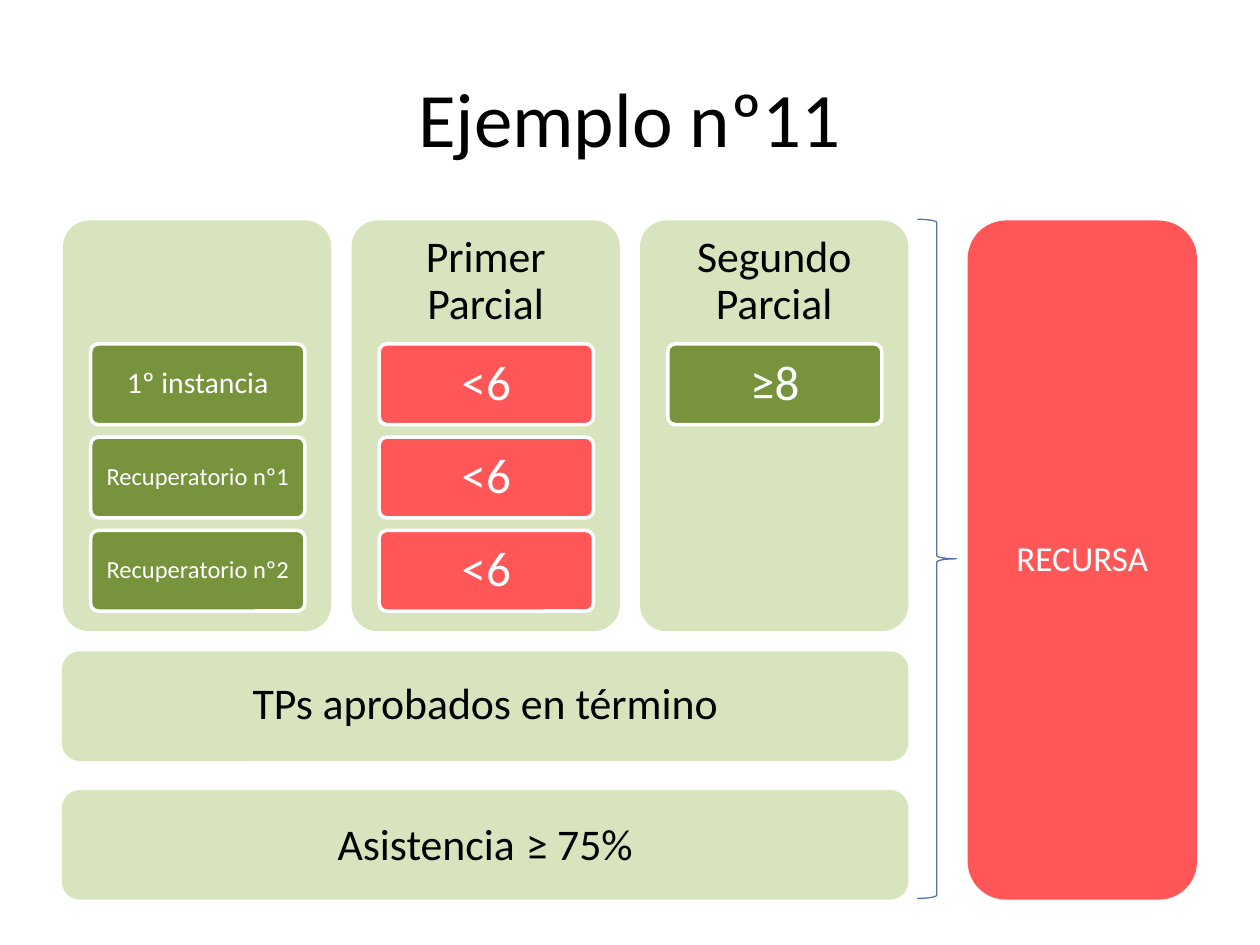
from dataclasses import dataclass

from pptx import Presentation
from pptx.dml.color import RGBColor
from pptx.enum.shapes import MSO_SHAPE
from pptx.enum.text import MSO_ANCHOR, PP_ALIGN
from pptx.util import Inches, Pt


@dataclass(frozen=True)
class Theme:
    font: str = "Calibri"
    black: str = "000000"
    white: str = "FFFFFF"
    panel: str = "D7E4BD"
    passed: str = "77933C"
    failed: str = "FF5757"
    brace: str = "5572AB"
    title_size: int = 44
    heading_size: int = 25
    score_size: int = 28
    result_size: int = 20
    stage_size: int = 17
    retake_size: int = 14


@dataclass(frozen=True)
class Area:
    left: float
    top: float
    width: float
    height: float


@dataclass(frozen=True)
class Span:
    text: str
    size: int


@dataclass(frozen=True)
class Cell:
    label: Span
    fill: str


@dataclass(frozen=True)
class Column:
    heading: str
    cells: tuple[Cell, ...]


THEME = Theme()
PAGE = Area(0, 0, 10, 7.5)
TITLE = Area(0.5, 0.3, 9, 1.25)
PANEL = Area(0.5, 1.75, 2.13, 3.26)
CELL = Area(0.72, 2.73, 1.7, 0.64)
BAR = Area(0.49, 5.17, 6.72, 0.87)
RESULT = Area(7.68, 1.75, 1.82, 5.39)
BRACE = Area(7.28, 1.74, 0.31, 5.39)
COLUMN_PITCH = 2.29
ROW_PITCH = 0.74
BAR_PITCH = 1.1
PANEL_RADIUS = 0.21
CELL_RADIUS = 0.06
PANEL_INSETS = (0.04, 0.04, 0.04, 2.33)
CELL_INSETS = (0.05, 0.03, 0.05, 0.03)
BAR_INSETS = (0, 0.1, 0, 0.11)
NO_INSETS = (0, 0, 0, 0)

FAILED_SCORE = Cell(Span("<6", THEME.score_size), THEME.failed)
COLUMNS = (
    Column("", (
        Cell(Span("1º instancia", THEME.stage_size), THEME.passed),
        Cell(Span("Recuperatorio nº1", THEME.retake_size), THEME.passed),
        Cell(Span("Recuperatorio nº2", THEME.retake_size), THEME.passed),
    )),
    Column("Primer Parcial", (FAILED_SCORE,) * 3),
    Column("Segundo Parcial", (Cell(Span("≥8", THEME.score_size), THEME.passed),)),
)
REQUIREMENTS = (
    (Span("TPs aprobados en término", THEME.heading_size),),
    (
        Span("Asistencia", THEME.heading_size),
        Span(" ", 28),
        Span("≥", THEME.heading_size),
        Span(" ", 24),
        Span("75%", THEME.heading_size),
    ),
)


def color(value: str) -> RGBColor:
    return RGBColor.from_string(value)


def place(area: Area) -> tuple:
    return Inches(area.left), Inches(area.top), Inches(area.width), Inches(area.height)


def shifted(area: Area, column: int = 0, row: int = 0, pitch: float = ROW_PITCH) -> Area:
    return Area(area.left + column * COLUMN_PITCH, area.top + row * pitch,
                area.width, area.height)


def write(box, spans: tuple[Span, ...], text_color: str, insets: tuple) -> None:
    frame = box.text_frame
    frame.word_wrap = True
    frame.vertical_anchor = MSO_ANCHOR.MIDDLE
    frame.margin_left, frame.margin_top, frame.margin_right, frame.margin_bottom = map(
        Inches, insets)
    para = frame.paragraphs[0]
    para.alignment = PP_ALIGN.CENTER
    para.line_spacing = 0.9
    para.font.name = THEME.font
    para.font.color.rgb = color(text_color)
    if len({span.size for span in spans}) == 1:
        para.font.size = Pt(spans[0].size)
    for span in spans:
        run = para.add_run()
        run.text = span.text
        if span.size != spans[0].size or len(spans) > 1:
            run.font.size = Pt(span.size)


def add_box(page, area: Area, fill: str, spans: tuple[Span, ...], text_color: str,
            insets: tuple, radius: float | None = None, outlined: bool = False) -> None:
    box = page.shapes.add_shape(MSO_SHAPE.ROUNDED_RECTANGLE, *place(area))
    box.shadow.inherit = False
    box.fill.solid()
    box.fill.fore_color.rgb = color(fill)
    if radius is not None:
        box.adjustments[0] = radius / min(area.width, area.height)
    if outlined:
        box.line.color.rgb = color(THEME.white)
        box.line.width = Pt(2)
    else:
        box.line.fill.background()
    if spans:
        write(box, spans, text_color, insets)


def add_title(page, text: str) -> None:
    title = page.shapes.title
    title.left, title.top, title.width, title.height = place(TITLE)
    title.text_frame.text = text
    title.text_frame.vertical_anchor = MSO_ANCHOR.MIDDLE
    para = title.text_frame.paragraphs[0]
    para.alignment = PP_ALIGN.CENTER
    para.font.name = THEME.font
    para.font.size = Pt(THEME.title_size)
    para.font.color.rgb = color(THEME.black)


def add_column(page, index: int, column: Column) -> None:
    heading = (Span(column.heading, THEME.heading_size),) if column.heading else ()
    add_box(page, shifted(PANEL, index), THEME.panel, heading, THEME.black,
            PANEL_INSETS, PANEL_RADIUS)
    for row, cell in enumerate(column.cells):
        add_box(page, shifted(CELL, index, row), cell.fill, (cell.label,), THEME.white,
                CELL_INSETS, CELL_RADIUS, outlined=True)


def add_brace(page) -> None:
    brace = page.shapes.add_shape(MSO_SHAPE.RIGHT_BRACE, *place(BRACE))
    brace.shadow.inherit = False
    brace.fill.background()
    brace.line.color.rgb = color(THEME.brace)
    brace.line.width = Pt(0.75)


def main() -> None:
    deck = Presentation()
    deck.slide_width, deck.slide_height = Inches(PAGE.width), Inches(PAGE.height)
    page = deck.slides.add_slide(deck.slide_layouts[5])
    add_title(page, "Ejemplo nº11")
    for index, column in enumerate(COLUMNS):
        add_column(page, index, column)
    add_box(page, RESULT, THEME.failed, (Span("RECURSA", THEME.result_size),),
            THEME.white, NO_INSETS)
    for row, spans in enumerate(REQUIREMENTS):
        add_box(page, shifted(BAR, row=row, pitch=BAR_PITCH), THEME.panel, spans,
                THEME.black, BAR_INSETS)
    add_brace(page)
    deck.save("out.pptx")


if __name__ == "__main__":
    main()
